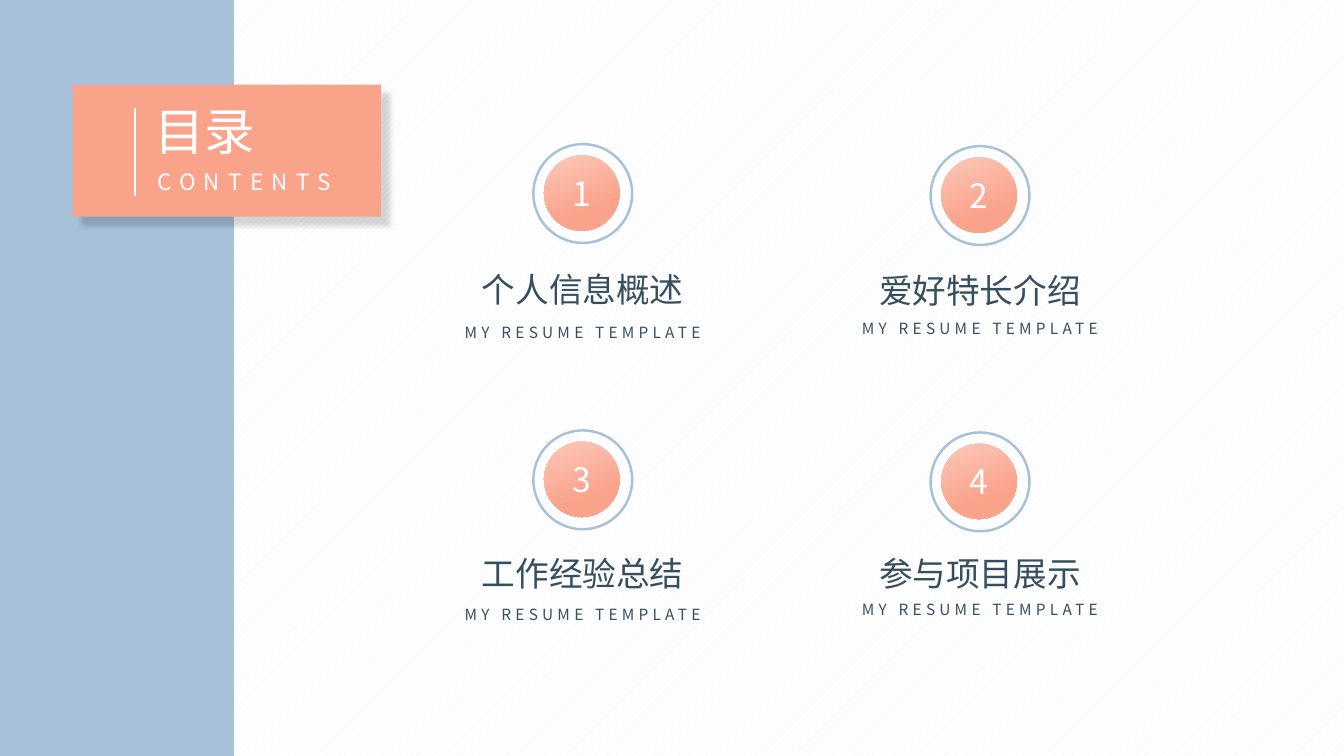
from dataclasses import dataclass

from lxml.etree import SubElement
from pptx import Presentation
from pptx.dml.color import RGBColor
from pptx.enum.dml import MSO_PATTERN
from pptx.enum.shapes import MSO_CONNECTOR, MSO_SHAPE
from pptx.enum.text import MSO_ANCHOR, MSO_AUTO_SIZE as AUTO, PP_ALIGN as ALIGN
from pptx.oxml.ns import qn
from pptx.util import Inches, Pt

FONT = "Noto Sans CJK SC"
WHITE, BLUE, CORAL, PEACH, SLATE = "FFFFFF", "A8C1DB", "FAA38B", "FCC8B9", "364F60"
RING, DISC = 0.98, 0.75


@dataclass
class Section:
    number: int
    title: str
    center: float
    ring_top: float
    title_top: float
    caption_top: float


SECTIONS = [
    Section(1, "个人信息概述", 5.78, 1.43, 2.62, 3.16),
    Section(2, "爱好特长介绍", 9.72, 1.45, 2.63, 3.12),
    Section(3, "工作经验总结", 5.78, 4.27, 5.44, 5.95),
    Section(4, "参与项目展示", 9.72, 4.29, 5.44, 5.90),
]


def rgb(color: str) -> RGBColor:
    return RGBColor.from_string(color)


def write(tf, text: str, size: float, color: str, align=ALIGN.CENTER, spacing: float = 0) -> None:
    p = tf.paragraphs[0]
    p.text = text
    p.alignment = align
    p.font.size = Pt(size)
    p.font.name = FONT
    p.font.color.rgb = rgb(color)
    props = p._p.pPr.find(qn("a:defRPr"))
    SubElement(props, qn("a:ea")).set("typeface", FONT)
    if spacing:
        props.set("spc", str(int(spacing * 100)))


def add_text(shapes, x: float, y: float, w: float, h: float, text: str, size: float,
             color: str, align=ALIGN.CENTER, spacing: float = 0) -> None:
    tf = shapes.add_textbox(Inches(x), Inches(y), Inches(w), Inches(h)).text_frame
    tf.word_wrap = True
    tf.auto_size = AUTO.SHAPE_TO_FIT_TEXT
    write(tf, text, size, color, align, spacing)


def add_plain(shapes, kind, x: float, y: float, w: float, h: float, fill: str = ""):
    sp = shapes.add_shape(kind, Inches(x), Inches(y), Inches(w), Inches(h))
    sp.shadow.inherit = False
    sp.line.fill.background()
    if fill:
        sp.fill.solid()
        sp.fill.fore_color.rgb = rgb(fill)
    else:
        sp.fill.background()
    return sp


def add_drop_shadow(sp) -> None:
    effects = sp._element.spPr.find(qn("a:effectLst"))
    shadow = SubElement(effects, qn("a:outerShdw"), blurRad=str(Pt(4)), dist=str(Pt(9)),
                        dir=str(45 * 60000), algn="tl", rotWithShape="0")
    color = SubElement(shadow, qn("a:srgbClr"), val="000000")
    SubElement(color, qn("a:alpha"), val="16000")


def add_background(s) -> None:
    sp = add_plain(s.shapes, MSO_SHAPE.RECTANGLE, 0, 0, 13.33, 7.5)
    sp.fill.patterned()
    sp.fill.pattern = MSO_PATTERN.WIDE_UPWARD_DIAGONAL
    sp.fill.fore_color.rgb = rgb("EEF3F8")
    sp.fill.back_color.rgb = rgb(WHITE)


def add_heading(s) -> None:
    add_plain(s.shapes, MSO_SHAPE.RECTANGLE, 0, 0, 2.32, 7.5, BLUE)
    add_drop_shadow(add_plain(s.shapes, MSO_SHAPE.RECTANGLE, 0.72, 0.84, 3.06, 1.31, CORAL))
    shapes = s.shapes.add_group_shape().shapes
    add_text(shapes, 1.43, 0.94, 2.19, 0.71, "目录", 36, WHITE, ALIGN.LEFT)
    rule = shapes.add_connector(MSO_CONNECTOR.STRAIGHT, Inches(1.34), Inches(1.07),
                                Inches(1.34), Inches(1.94))
    rule.line.color.rgb = rgb(WHITE)
    rule.line.width = Pt(2)
    SubElement(rule._element.spPr, qn("a:effectLst"))
    add_text(shapes, 1.46, 1.62, 2.19, 0.37, "CONTENTS", 16, WHITE, ALIGN.LEFT, 6)


def add_badge(s, section: Section) -> None:
    shapes = s.shapes.add_group_shape().shapes
    disc = add_plain(shapes, MSO_SHAPE.OVAL, section.center - 0.385, section.ring_top + 0.11,
                     DISC, DISC)
    disc.fill.gradient()
    disc.fill.gradient_angle = 290
    for stop, color, position in zip(disc.fill.gradient_stops, (PEACH, CORAL), (0, 0.7)):
        stop.color.rgb = rgb(color)
        stop.position = position
    disc.text_frame.vertical_anchor = MSO_ANCHOR.MIDDLE
    write(disc.text_frame, str(section.number), 24, WHITE)
    ring = add_plain(shapes, MSO_SHAPE.OVAL, section.center - RING / 2, section.ring_top,
                     RING, RING)
    ring.line.color.rgb = rgb(BLUE)
    ring.line.width = Pt(1.75)


def add_section(s, section: Section) -> None:
    add_badge(s, section)
    add_text(s.shapes, section.center - 1.35, section.title_top, 2.7, 0.5,
             section.title, 24, SLATE)
    add_text(s.shapes, section.center - 1.45, section.caption_top, 2.9, 0.29,
             "MY RESUME TEMPLATE", 11, SLATE, spacing=3)


def main() -> None:
    prs = Presentation()
    prs.slide_width, prs.slide_height = Inches(13.33), Inches(7.5)
    s = prs.slides.add_slide(prs.slide_layouts[6])
    add_background(s)
    add_heading(s)
    for section in SECTIONS:
        add_section(s, section)
    prs.save("out.pptx")


if __name__ == "__main__":
    main()
